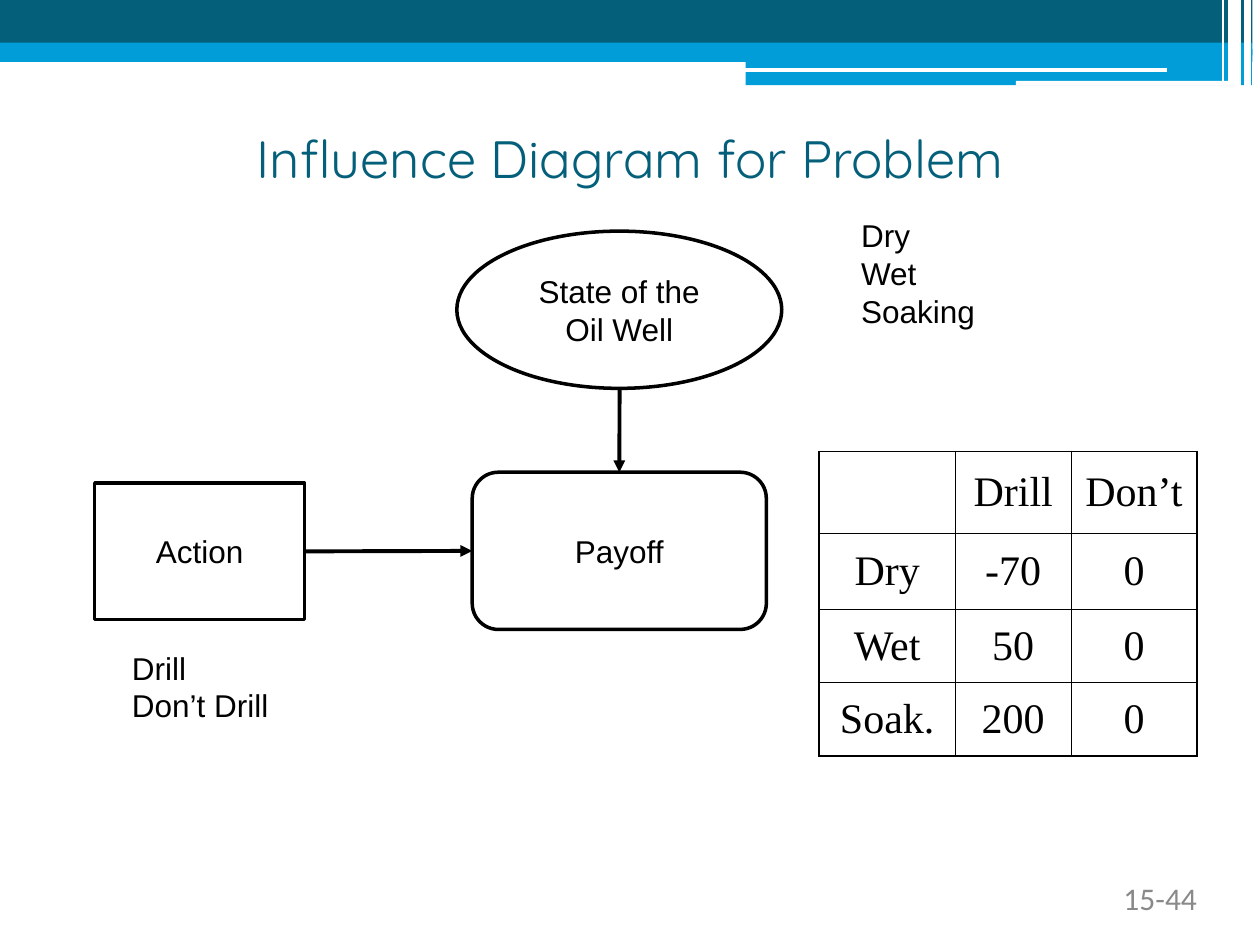
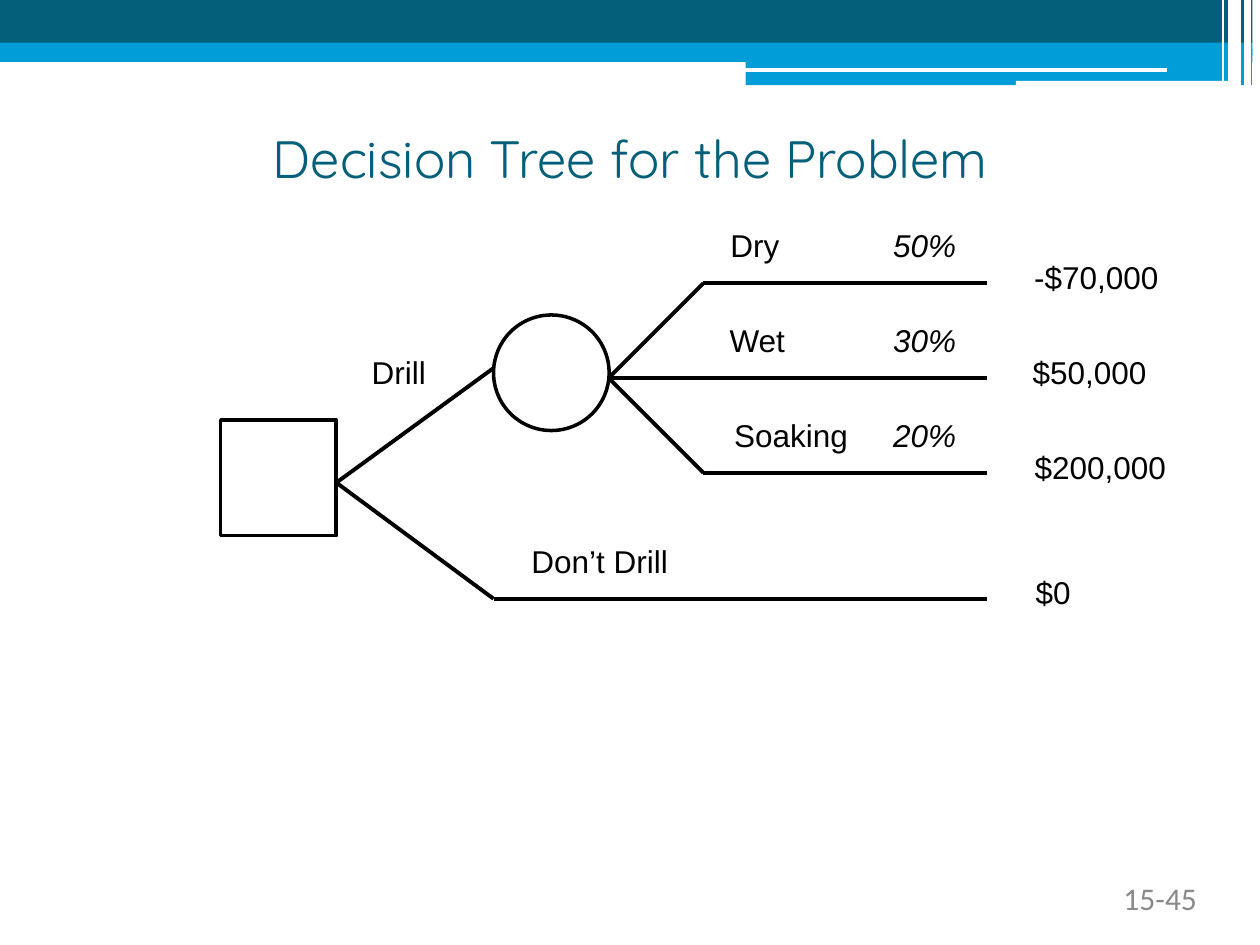
from lxml import etree
from pptx import Presentation
from pptx.dml.color import RGBColor
from pptx.enum.shapes import MSO_CONNECTOR, MSO_SHAPE
from pptx.enum.text import MSO_ANCHOR, MSO_AUTO_SIZE, PP_ALIGN
from pptx.oxml.ns import qn
from pptx.util import Cm, Pt

DARK_TEAL = RGBColor(0x04, 0x60, 0x7A)
BLUE = RGBColor(0x00, 0x9D, 0xD9)
WHITE = RGBColor(0xFF, 0xFF, 0xFF)
BLACK = RGBColor(0x00, 0x00, 0x00)
GRAY = RGBColor(0x89, 0x89, 0x89)

# left, top, width, height in centimetres, from back to front
BANDS = [
    (0, 1.1, 15.04, 0.15, BLUE),
    (24.92, 0, 0.33, 0.87, DARK_TEAL),
    (0, 0, 24.76, 0.87, DARK_TEAL),
    (24.92, 0.86, 0.33, 0.26, BLUE),
    (0, 0.86, 24.76, 0.26, BLUE),
    (24.92, 0.99, 0.33, 0.26, BLUE),
    (15.03, 0.99, 9.73, 0.26, BLUE),
    (15.03, 1.22, 10.21, 0.5, BLUE),
    (20.48, 1.63, 4.44, 0.1, WHITE),
    (24.76, 0, 0.16, 1.63, WHITE),
]
# start, end, width in points
BAND_LINES = [
    ((15.01, 1.42), (23.52, 1.42), 2.27),
    ((25.17, 0), (25.17, 1.73), 2.98),
    ((25.1, 0), (25.1, 1.73), 1.05),
    ((24.97, 0), (24.97, 1.73), 2.98),
    ((24.66, 0), (24.66, 1.63), 1.05),
]


def write_text(shape, text, size=18, font="Arial", color=BLACK, align=PP_ALIGN.CENTER,
               italic=False, before=4.5, wrap=False, margin=None):
    """Fill a shape, text box or table cell with one paragraph."""
    frame = shape.text_frame
    frame.word_wrap = wrap
    if margin is not None:
        frame.margin_left = frame.margin_right = Cm(margin)
        frame.margin_top = frame.margin_bottom = Cm(margin)
    paragraph = frame.paragraphs[0]
    paragraph.alignment = align
    paragraph.space_before = Pt(before)
    for index, line in enumerate(text.split("\n")):
        if index:
            paragraph.add_line_break()
        run = paragraph.add_run()
        run.text = line
        run.font.size = Pt(size)
        run.font.name = font
        run.font.color.rgb = color
        run.font.italic = italic


def draw_line(slide, start, end, width=2.25, color=BLACK, arrow=False):
    line = slide.shapes.add_connector(
        MSO_CONNECTOR.STRAIGHT, *(Cm(value) for value in start + end))
    line.line.width = Pt(width)
    line.line.color.rgb = color
    if arrow:
        etree.SubElement(line.line._get_or_add_ln(), qn("a:tailEnd"), type="triangle")
    etree.SubElement(line._element.spPr, qn("a:effectLst"))
    return line


presentation = Presentation()
presentation.slide_width = Cm(25.4)
presentation.slide_height = Cm(19.05)

# Shared frame of both slides
slides = []
for title, number in [("Influence Diagram for Problem", "15-44"),
                      ("Decision Tree for the Problem", "15-45")]:
    slide = presentation.slides.add_slide(presentation.slide_layouts[6])
    slides.append(slide)
    for left, top, width, height, color in BANDS:
        band = slide.shapes.add_shape(
            MSO_SHAPE.RECTANGLE, Cm(left), Cm(top), Cm(width), Cm(height))
        band.shadow.inherit = False
        band.fill.solid()
        band.fill.fore_color.rgb = color
        band.line.fill.background()
    for start, end, width in BAND_LINES:
        draw_line(slide, start, end, width, WHITE)
    title_box = slide.shapes.add_textbox(Cm(1.44), Cm(2.55), Cm(22.53), Cm(1.3))
    write_text(title_box, title, 30, "Quicksand", DARK_TEAL, before=0, wrap=True, margin=0)
    number_box = slide.shapes.add_textbox(Cm(18.29), Cm(17.73), Cm(5.84), Cm(0.79))
    write_text(number_box, number, 18, "Calibri", GRAY, PP_ALIGN.RIGHT,
               before=0, wrap=True, margin=0)
influence_slide, tree_slide = slides

# Nodes of both diagrams
nodes = []
for slide, kind, left, top, width, height, text in [
    (influence_slide, MSO_SHAPE.RECTANGLE, 1.91, 9.74, 4.23, 2.75, "Action"),
    (influence_slide, MSO_SHAPE.OVAL, 9.21, 4.66, 6.55, 3.17, "State of the\nOil Well"),
    (influence_slide, MSO_SHAPE.ROUNDED_RECTANGLE, 9.52, 9.52, 5.93, 3.17, "Payoff"),
    (tree_slide, MSO_SHAPE.RECTANGLE, 4.45, 8.47, 2.33, 2.33, ""),
    (tree_slide, MSO_SHAPE.OVAL, 9.95, 6.35, 2.33, 2.33, ""),
]:
    node = slide.shapes.add_shape(kind, Cm(left), Cm(top), Cm(width), Cm(height))
    node.shadow.inherit = False
    node.fill.background()
    node.line.color.rgb = BLACK
    node.line.width = Pt(2)
    if text:
        node.text_frame.vertical_anchor = MSO_ANCHOR.MIDDLE
        write_text(node, text)
    nodes.append(node)
action, oil_well, payoff = nodes[:3]

# Influence arrows
action_arrow = draw_line(influence_slide, (6.14, 11.1), (9.52, 11.1), arrow=True)
action_arrow.begin_connect(action, 3)
action_arrow.end_connect(payoff, 1)
state_arrow = draw_line(influence_slide, (12.49, 7.83), (12.49, 9.52), arrow=True)
state_arrow.end_connect(payoff, 0)

# Payoff table
payoffs = [
    ["", "Drill", "Don’t"],
    ["Dry", "-70", "0"],
    ["Wet", "50", "0"],
    ["Soak.", "200", "0"],
]
column_widths = [2.75, 2.33, 2.54]
row_heights = [1.65, 1.53, 1.48, 1.48]
table = influence_slide.shapes.add_table(
    4, 3, Cm(16.51), Cm(9.1), Cm(sum(column_widths)), Cm(sum(row_heights))).table
table.first_row = table.horz_banding = False
for column, width in zip(table.columns, column_widths):
    column.width = Cm(width)
for row_index, (row, height) in enumerate(zip(payoffs, row_heights)):
    table.rows[row_index].height = Cm(height)
    for column_index, value in enumerate(row):
        cell = table.cell(row_index, column_index)
        cell.fill.background()
        cell.vertical_anchor = MSO_ANCHOR.MIDDLE
        if value:
            write_text(cell, value, 24, "Times New Roman", before=6, wrap=True)
        outer_sides = [("lnL", column_index == 0), ("lnR", column_index == 2),
                       ("lnT", row_index == 0), ("lnB", row_index == 3)]
        for position, (side, is_outer) in enumerate(outer_sides):
            border = etree.Element(qn(f"a:{side}"), w=str(Pt(1.08 if is_outer else 0.45)))
            border_fill = etree.SubElement(border, qn("a:solidFill"))
            etree.SubElement(border_fill, qn("a:srgbClr"), val=str(BLACK))
            cell._tc.get_or_add_tcPr().insert(position, border)

# Branches of the decision tree
decision_point, chance_point = (6.78, 9.73), (12.27, 7.62)
fork, branch_end = 14.18, 19.89
draw_line(tree_slide, decision_point, (9.95, 7.42))
draw_line(tree_slide, decision_point, (9.95, 12.07))
draw_line(tree_slide, (9.95, 12.07), (branch_end, 12.07))

# slide, text, left, top, width, height, alignment, italic
labels = [
    (influence_slide, "Drill\nDon’t Drill", 2.41, 12.95, 3.4, 1.78, PP_ALIGN.LEFT, False),
    (influence_slide, "Dry\nWet\nSoaking", 17.11, 4.24, 2.95, 2.54, PP_ALIGN.LEFT, False),
    (tree_slide, "Drill", 7.19, 6.99, 1.7, 1.02, PP_ALIGN.CENTER, False),
    (tree_slide, "Don’t Drill", 10.39, 10.8, 3.4, 1.02, PP_ALIGN.CENTER, False),
    (tree_slide, "$0", 20.57, 11.43, 1.32, 1.02, PP_ALIGN.CENTER, False),
]
outcomes = [
    ("Dry", 14.42, 1.6, "50%", "-$70,000", 20.52, 3.16),
    ("Wet", 14.4, 1.73, "30%", "$50,000", 20.49, 2.95),
    ("Soaking", 14.47, 2.95, "20%", "$200,000", 20.53, 3.3),
]
for index, (state, state_left, state_width, chance,
            amount, amount_left, amount_width) in enumerate(outcomes):
    level = chance_point[1] + 1.91 * (index - 1)
    if index == 1:
        draw_line(tree_slide, chance_point, (branch_end, level))
    else:
        draw_line(tree_slide, chance_point, (fork, level))
        draw_line(tree_slide, (fork, level), (branch_end, level))
    for text, left, rise, width, italic in [
        (state, state_left, 1.27, state_width, False),
        (chance, 17.7, 1.27, 1.88, True),
        (amount, amount_left, 0.63, amount_width, False),
    ]:
        labels.append((tree_slide, text, left, level - rise, width, 1.02,
                       PP_ALIGN.CENTER, italic))

for slide, text, left, top, width, height, align, italic in labels:
    label = slide.shapes.add_textbox(Cm(left), Cm(top), Cm(width), Cm(height))
    write_text(label, text, align=align, italic=italic)
    label.text_frame.auto_size = MSO_AUTO_SIZE.SHAPE_TO_FIT_TEXT

presentation.save("out.pptx")
